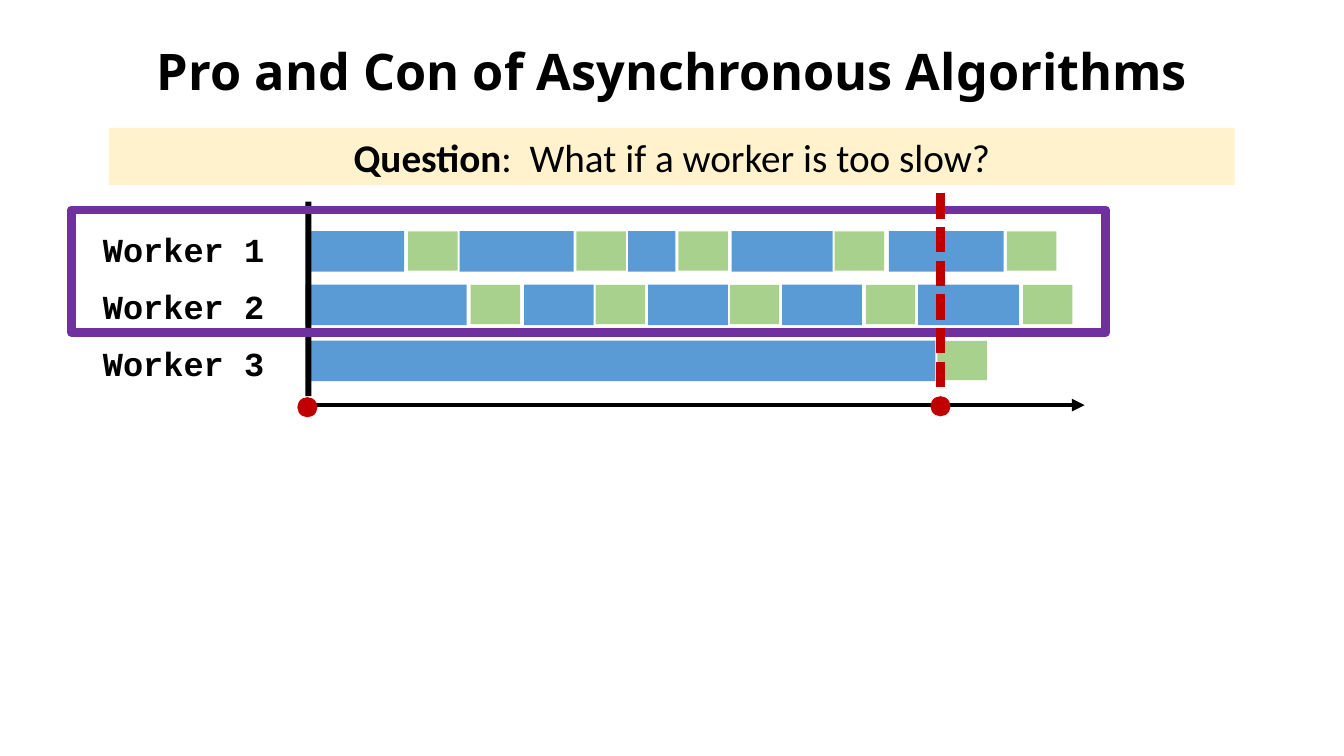
from pptx import Presentation
from pptx.util import Pt
from pptx.dml.color import RGBColor
from pptx.enum import dml, shapes, text
from pptx.oxml.ns import qn
from lxml import etree

BLUE, GREEN, RED, BLACK = "5B9BD5", "A9D18E", "C00000", "000000"
RECT, OVAL = shapes.MSO_SHAPE.RECTANGLE, shapes.MSO_SHAPE.OVAL


def color(code):
    return RGBColor.from_string(code)


class Board:
    """Holds the style and the current slide."""
    head, body, mono = "Noto Sans", "Calibri", "Courier New"

    def __init__(self, deck):
        self.slide = deck.slides.add_slide(deck.slide_layouts[5])

    def font(self, run, name, size, bold=True):
        run.font.name, run.font.size, run.font.bold = name, Pt(size), bold
        run.font.color.rgb = color(BLACK)

    def title(self, words, x, y, w, h):
        box = self.slide.shapes.title
        box.left, box.top, box.width, box.height = map(Pt, (x, y, w, h))
        frame = box.text_frame
        frame.text = words
        frame.word_wrap = True
        frame.vertical_anchor = text.MSO_ANCHOR.MIDDLE
        para = frame.paragraphs[0]
        para.alignment, para.line_spacing = text.PP_ALIGN.CENTER, 0.9
        self.font(para.runs[0], self.head, 36)

    def shape(self, kind, x, y, w, h, fill=None, line=None, weight=0):
        item = self.slide.shapes.add_shape(kind, *map(Pt, (x, y, w, h)))
        item.shadow.inherit = False
        if fill:
            item.fill.solid()
            item.fill.fore_color.rgb = color(fill)
        else:
            item.fill.background()
        if line:
            item.line.color.rgb = color(line)
            item.line.width = Pt(weight)
        else:
            item.line.fill.background()
        return item

    def banner(self, lead, rest, x, y, w, h, fill):
        frame = self.shape(RECT, x, y, w, h, fill).text_frame
        frame.word_wrap = True
        frame.vertical_anchor = text.MSO_ANCHOR.TOP
        para = frame.paragraphs[0]
        para.alignment = text.PP_ALIGN.CENTER
        for words, bold in ((lead, True), (rest, False)):
            run = para.add_run()
            run.text = words
            self.font(run, self.body, 28, bold)

    def label(self, words, x, y, w, h):
        box = self.slide.shapes.add_textbox(*map(Pt, (x, y, w, h)))
        frame = box.text_frame
        frame.word_wrap = False
        frame.text = words
        self.font(frame.paragraphs[0].runs[0], self.mono, 24)

    def line(self, x1, y1, x2, y2, code, weight, dash=None, arrow=False):
        item = self.slide.shapes.add_connector(
            shapes.MSO_CONNECTOR.STRAIGHT, *map(Pt, (x1, y1, x2, y2)))
        item.line.color.rgb = color(code)
        item.line.width = Pt(weight)
        if dash:
            item.line.dash_style = dash
        if arrow:
            etree.SubElement(item.line._get_or_add_ln(), qn("a:tailEnd"),
                             type="triangle")
        etree.SubElement(item._element.spPr, qn("a:effectLst"))


# Per worker: bar top, (left, width) of each compute bar, left of each update
WORKERS = [
    (165.2, [(218.9, 69.8), (328.3, 81.4), (448.6, 33.8), (522.7, 72), (635, 82)],
     [291.6, 411.8, 484.6, 596.2, 719.3]),
    (203.4, [(218.2, 115.2), (374.4, 49.7), (463, 56.9), (558.7, 56.9), (655.9, 72)],
     [336.2, 425.5, 521.3, 618.5, 730.8]),
    (243.4, [(218.9, 449.3)], [669.6]),
]


def main():
    deck = Presentation()
    deck.slide_width, deck.slide_height = Pt(960), Pt(540)
    board = Board(deck)

    # Heading and question
    board.title("Pro and Con of Asynchronous Algorithms", 66, 0.7, 828, 104.4)
    board.banner("Question", ":  What if a worker is too slow?",
                 77.8, 91.4, 804.2, 41, "FFF2CC")

    # Worker timelines
    for row, (top, work, sync) in enumerate(WORKERS):
        board.label(f"Worker {row + 1}", 66.4, 160 + 40.6 * row, 130.3, 36)
        for left, width in work:
            board.shape(RECT, left, top, width, 28.8, BLUE)
        for left in sync:
            board.shape(RECT, left, top, 35.3, 28.1, GREEN)

    # Axes, start dot and frame around the fast workers
    board.line(214.6, 289.4, 774.7, 289.4, BLACK, 3, arrow=True)
    board.shape(OVAL, 212.4, 283.7, 14.4, 14.4, RED)
    board.shape(RECT, 218.2, 144, 4.3, 139, BLACK)
    board.shape(RECT, 51.1, 149.8, 738.7, 87.8, line="7030A0", weight=6)

    # Moment when the slow worker finishes
    board.shape(OVAL, 664.6, 283, 14.4, 14.4, RED)
    board.line(671.8, 138.2, 671.8, 278.6, RED, 6, dash=dml.MSO_LINE.SQUARE_DOT)

    deck.save("out.pptx")


if __name__ == "__main__":
    main()
